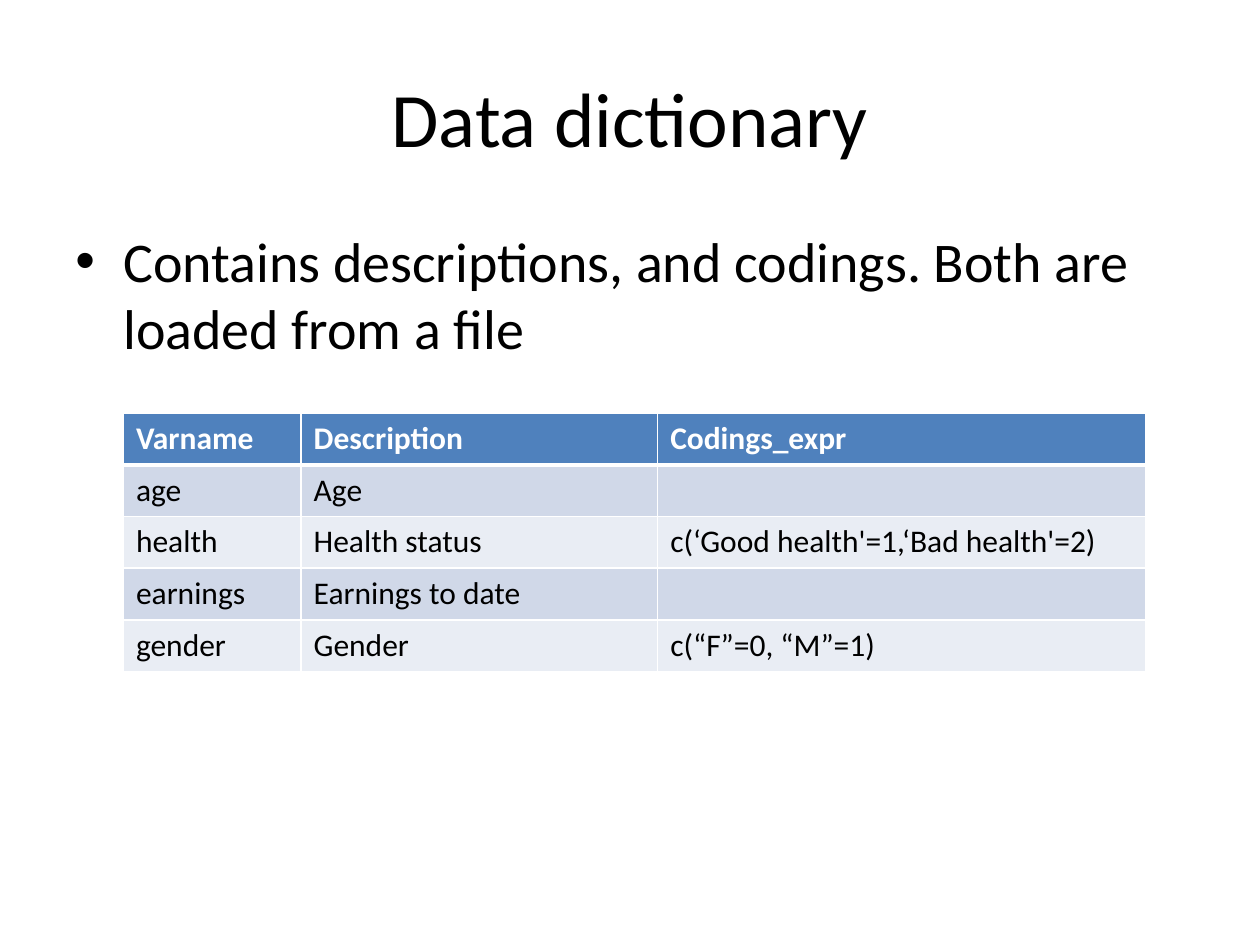
from lxml import etree
from pptx import Presentation
from pptx.dml.color import RGBColor
from pptx.enum.text import MSO_ANCHOR, PP_ALIGN
from pptx.oxml.ns import qn
from pptx.util import Inches, Pt

FONT = "Calibri"
BLACK, WHITE = "000000", "FFFFFF"
HEADER_FILL = "4F81BD"
BAND_FILLS = ("E9EDF4", "D0D8E8")
COLUMN_WIDTHS = (1.41, 2.83, 3.87)
ROW_HEIGHT = 0.41
DICTIONARY = (
    ("Varname", "Description", "Codings_expr"),
    ("age", "Age", ""),
    ("health", "Health status", "c(‘Good health'=1,‘Bad health'=2)"),
    ("earnings", "Earnings to date", ""),
    ("gender", "Gender", "c(“F”=0, “M”=1)"),
)


def color(hex_value):
    """Turn a hex string into a colour."""
    return RGBColor.from_string(hex_value)


def set_font(paragraph, size, hex_value=BLACK, bold=False):
    """Set the font of a whole paragraph."""
    font = paragraph.font
    font.name, font.size, font.bold = FONT, Pt(size), bold
    font.color.rgb = color(hex_value)


def add_text(slide, text, box, size, anchor=MSO_ANCHOR.TOP):
    """Add a wrapping text box and return its paragraph."""
    frame = slide.shapes.add_textbox(*map(Inches, box)).text_frame
    frame.word_wrap = True
    frame.vertical_anchor = anchor
    paragraph = frame.paragraphs[0]
    paragraph.text = text
    set_font(paragraph, size)
    return paragraph


def add_bullet(paragraph, indent):
    """Give a paragraph a round bullet with a hanging indent."""
    properties = paragraph._p.get_or_add_pPr()
    properties.set("marL", str(Inches(indent)))
    properties.set("indent", str(-Inches(indent)))
    etree.SubElement(properties, qn("a:buFont"), typeface="Arial")
    etree.SubElement(properties, qn("a:buChar"), char="•")


def set_borders(cell, bottom=1, top=1):
    """Draw white borders, with widths in points, around a cell."""
    properties = cell._tc.get_or_add_tcPr()
    widths = {"lnL": 1, "lnR": 1, "lnT": top, "lnB": bottom}
    for position, (side, width) in enumerate(widths.items()):
        line = etree.Element(qn(f"a:{side}"), w=str(Pt(width)))
        fill = etree.SubElement(line, qn("a:solidFill"))
        etree.SubElement(fill, qn("a:srgbClr"), val=WHITE)
        properties.insert(position, line)


def add_table(slide, rows, left, top):
    """Add a table with a header row and banded body rows."""
    table = slide.shapes.add_table(
        len(rows), len(COLUMN_WIDTHS), Inches(left), Inches(top),
        Inches(sum(COLUMN_WIDTHS)), Inches(ROW_HEIGHT * len(rows))).table
    for column, width in zip(table.columns, COLUMN_WIDTHS):
        column.width = Inches(width)
    for row_index, row in enumerate(rows):
        header = row_index == 0
        for column_index, text in enumerate(row):
            cell = table.cell(row_index, column_index)
            cell.text = text
            set_font(cell.text_frame.paragraphs[0], 18,
                     WHITE if header else BLACK, header)
            cell.fill.solid()
            cell.fill.fore_color.rgb = color(
                HEADER_FILL if header else BAND_FILLS[row_index % 2])
            set_borders(cell, bottom=3 if header else 1,
                        top=3 if row_index == 1 else 1)


def main():
    """Build the data dictionary slide."""
    presentation = Presentation()
    presentation.slide_width = Inches(10)
    presentation.slide_height = Inches(7.5)
    slide = presentation.slides.add_slide(presentation.slide_layouts[6])
    title = add_text(slide, "Data dictionary", (0.5, 0.3, 9, 1.25), 44,
                     MSO_ANCHOR.MIDDLE)
    title.alignment = PP_ALIGN.CENTER
    body = add_text(
        slide, "Contains descriptions, and codings. Both are loaded from a file",
        (0.5, 1.75, 9, 4.95), 32)
    add_bullet(body, 0.38)
    add_table(slide, DICTIONARY, 0.98, 3.28)
    presentation.save("out.pptx")


main()
